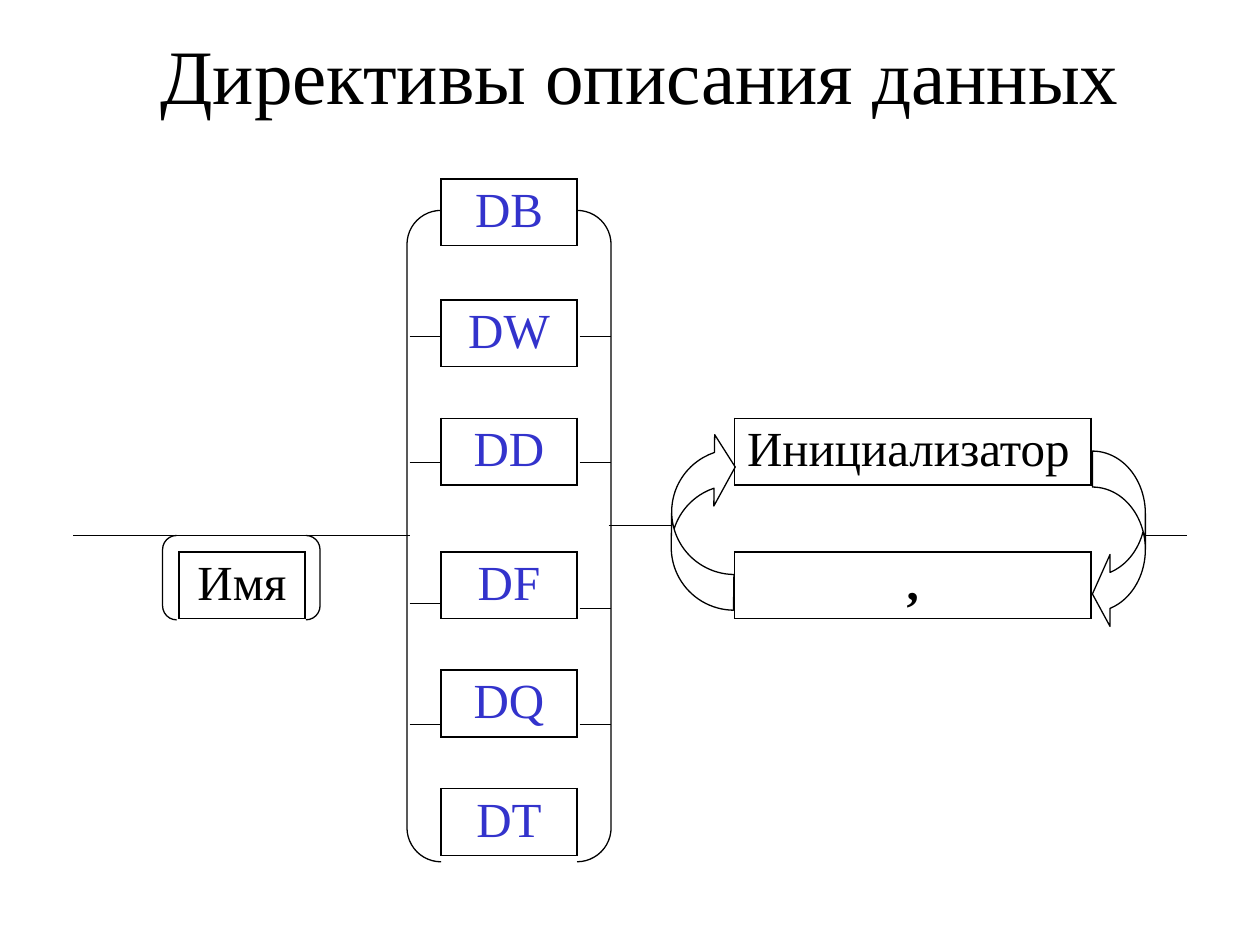
from lxml import etree
from pptx import Presentation
from pptx.dml.color import RGBColor
from pptx.enum import shapes, text
from pptx.oxml.ns import qn
from pptx.util import Inches, Pt

# Content
TITLE = "Директивы описания данных"
FONT, BLACK, BLUE = "Times New Roman", "000000", "3333CC"
DIRECTIVES = ["DB", "DW", "DD", "DF", "DQ", "DT"]
boxes = {(2 * i, 3): (name, BLUE) for i, name in enumerate(DIRECTIVES)}
boxes |= {(6, 1): ("Имя", BLACK), (4, 5): ("Инициализатор", BLACK), (6, 5): (",", BLACK)}

# Grid: box rows alternate with gap rows
COLUMNS = [0.67, 1, 1.08, 1.08, 1.25, 2.83, 0.58]
BOX_HEIGHT, GAPS = 0.53, [0.43, 0.41, 0.53, 0.41, 0.41]
ROWS = [BOX_HEIGHT]
for gap in GAPS:
    ROWS += [gap, BOX_HEIGHT]

# Branch lines: start x, end x, heights
BRANCHES = [
    (3.25, 3.5, [2.67, 3.67, 4.79, 5.75]),
    (4.6, 4.85, [2.67, 3.67, 4.83, 5.75]),
    (0.58, 3.25, [4.25]),
    (4.83, 5.33, [4.17]),
    (9.08, 9.42, [4.25]),
]

# Brackets and loop arrows: kind, position, adjustments, rotation
BRACKET = shapes.MSO_SHAPE.DOUBLE_BRACKET
ARROW = shapes.MSO_SHAPE.CURVED_LEFT_ARROW
OUTLINES = [
    (BRACKET, (3.23, 1.67, 1.62, 5.17), [0.167], 0),
    (BRACKET, (1.29, 4.25, 1.25, 0.67), [0.167], 0),
    (ARROW, (8.67, 3.58, 0.42, 1.42), [0.68, 1.36, 0.333], 0),
    (ARROW, (5.33, 3.42, 0.5, 1.42), [0.567, 1.133, 0.333], 180.7),
]


def rgb(value):
    return RGBColor.from_string(value)


def style(paragraph, size, color, align=text.PP_ALIGN.CENTER):
    paragraph.alignment = align
    font = paragraph.font
    font.name, font.size, font.color.rgb = FONT, Pt(size), rgb(color)


def set_border(cell, side, visible):
    line = etree.SubElement(cell._tc.get_or_add_tcPr(), qn(f"a:ln{side}"), w=str(Pt(1)))
    if visible:
        fill = etree.SubElement(line, qn("a:solidFill"))
        etree.SubElement(fill, qn("a:srgbClr"), val=BLACK)
    else:
        etree.SubElement(line, qn("a:noFill"))


def thin_line(line):
    line.color.rgb, line.width = rgb(BLACK), Pt(0.75)


prs = Presentation()
prs.slide_width, prs.slide_height = Inches(10), Inches(7.5)
slide = prs.slides.add_slide(prs.slide_layouts[5])

# Title
title = slide.shapes.title
title.left, title.top, title.width, title.height = map(Inches, (0.83, 0.17, 8.5, 0.83))
title.text_frame.text = TITLE
title.text_frame.vertical_anchor = text.MSO_ANCHOR.MIDDLE
style(title.text_frame.paragraphs[0], 44, BLACK)

# Table with framed boxes
table = slide.shapes.add_table(
    len(ROWS), len(COLUMNS), Inches(0.75), Inches(1.42),
    Inches(sum(COLUMNS)), Inches(sum(ROWS))).table
table.first_row = table.horz_banding = False
NO_STYLE = "{2D5ABB26-0587-4C30-8999-92F81FD0307C}"
table._tbl.tblPr.find(qn("a:tableStyleId")).text = NO_STYLE
for column, width in zip(table.columns, COLUMNS):
    column.width = Inches(width)
for row, height in zip(table.rows, ROWS):
    row.height = Inches(height)

SIDES = {"L": (0, -1), "R": (0, 1), "T": (-1, 0), "B": (1, 0)}
for r in range(len(ROWS)):
    for c in range(len(COLUMNS)):
        cell = table.cell(r, c)
        for side, (down, right) in SIDES.items():
            set_border(cell, side, (r, c) in boxes or (r + down, c + right) in boxes)
        cell.fill.background()
        cell.margin_top = cell.margin_bottom = Inches(0.04)
        label, color = boxes.get((r, c), ("", BLACK))
        cell.text = label
        paragraph = cell.text_frame.paragraphs[0]
        left = label == "Инициализатор"
        style(paragraph, 28 if label else 12, color,
              text.PP_ALIGN.LEFT if left else text.PP_ALIGN.CENTER)
        paragraph.font.bold = label == ","

# Brackets and loop arrows
for kind, place, adjustments, rotation in OUTLINES:
    outline = slide.shapes.add_shape(kind, *map(Inches, place))
    outline.shadow.inherit = False
    outline.fill.background()
    thin_line(outline.line)
    outline.rotation = rotation
    for i, value in enumerate(adjustments):
        outline.adjustments[i] = value

# Branch lines
for start, end, heights in BRANCHES:
    for y in heights:
        branch = slide.shapes.add_connector(
            shapes.MSO_CONNECTOR.STRAIGHT, Inches(start), Inches(y), Inches(end), Inches(y))
        thin_line(branch.line)
        etree.SubElement(branch._element.spPr, qn("a:effectLst"))

prs.save("out.pptx")
